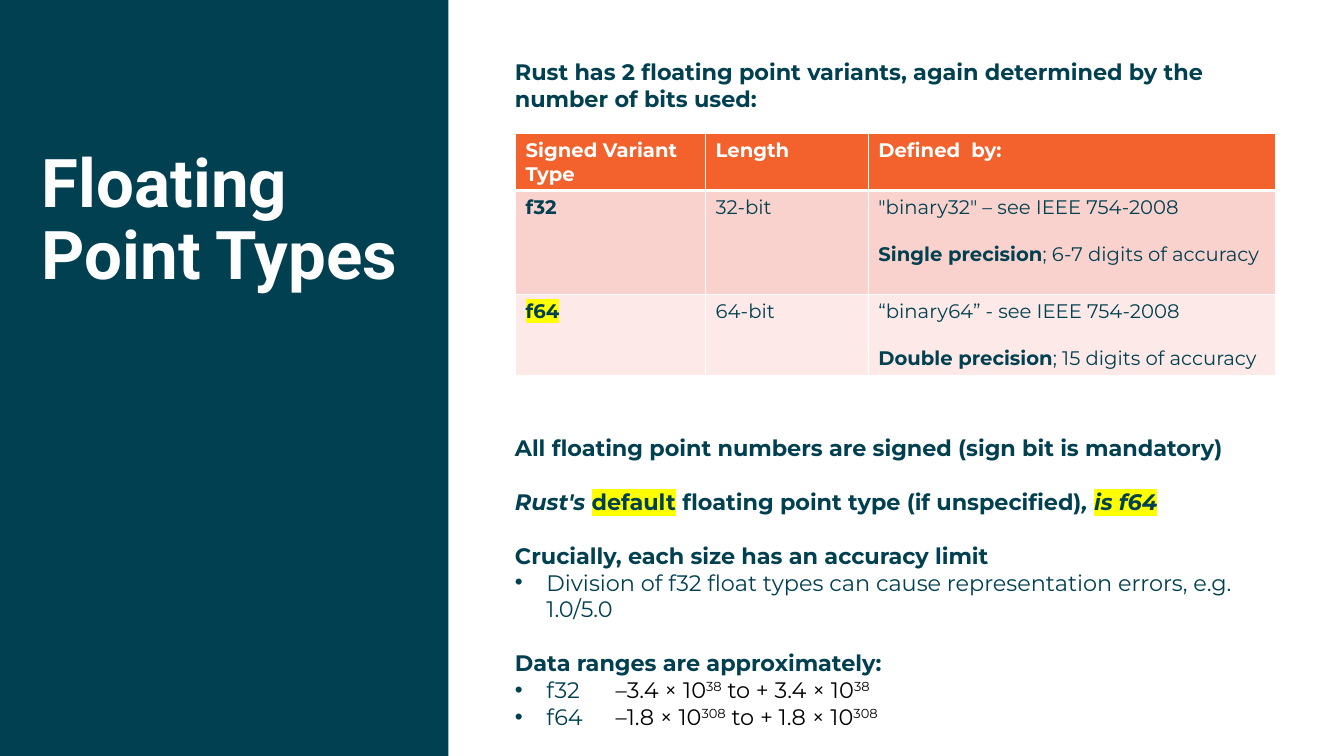
from dataclasses import dataclass

import lxml.etree
import pptx
import pptx.dml.color
import pptx.enum.shapes
import pptx.enum.text
import pptx.oxml.ns
import pptx.util

PX = 9525


@dataclass(frozen=True)
class Theme:
    heading_font: str = "Roboto"
    body_font: str = "Montserrat"
    teal: str = "004050"
    white: str = "FFFFFF"
    black: str = "000000"
    orange: str = "F3612C"
    row_fills: tuple = ("FAD2CD", "FDEAE8")
    highlight: str = "FFFF00"
    title_size: int = 48
    body_size: int = 16
    table_size: int = 14
    line_ratio: float = 1.2


@dataclass(frozen=True)
class Box:
    left: int
    top: int
    width: int
    height: int

    def emu(self):
        return [px(n) for n in (self.left, self.top, self.width, self.height)]


THEME = Theme()

HEADER = ["Signed Variant Type", "Length", "Defined  by:"]
VARIANTS = [
    ([("f32", "")], "32-bit", '"binary32" – see IEEE 754-2008',
     "Single precision", "; 6-7 digits of accuracy"),
    ([("f64", "h")], "64-bit", "“binary64” - see IEEE 754-2008",
     "Double precision", "; 15 digits of accuracy"),
]
RANGES = [("f32", "–3.4 × 10", "+ 3.4 × 10", "38"),
          ("f64", "–1.8 × 10", "+ 1.8 × 10", "308")]


def px(length):
    return pptx.util.Emu(length * PX)


def rgb(colour):
    return pptx.dml.color.RGBColor.from_string(colour)


def add_xml(parent, tag, **attributes):
    return lxml.etree.SubElement(parent, pptx.oxml.ns.qn(tag), **attributes)


def style(font, size, colour, bold, name=THEME.body_font):
    font.name = name
    font.size = pptx.util.Pt(size)
    font.bold = bold
    font.color.rgb = rgb(colour)


def add_runs(paragraph, runs):
    for text, marks in runs:
        run = paragraph.add_run()
        run.text = text
        if "b" in marks:
            run.font.bold = True
        if "i" in marks:
            run.font.italic = True
        if "k" in marks:
            run.font.color.rgb = rgb(THEME.black)
        properties = run._r.get_or_add_rPr()
        if "s" in marks:
            properties.set("baseline", "30000")
        if "h" in marks:
            highlight = add_xml(properties, "a:highlight")
            add_xml(highlight, "a:srgbClr", val=THEME.highlight)


def make_bullet(paragraph):
    properties = paragraph._p.get_or_add_pPr()
    properties.set("marL", str(px(30)))
    properties.set("indent", str(px(-30)))
    add_xml(properties, "a:buFont", typeface="Arial")
    add_xml(properties, "a:buChar", char="•")
    tabs = add_xml(properties, "a:tabLst")
    add_xml(tabs, "a:tab", pos=str(px(96)), algn="l")


def write(frame, paragraphs, size, colour):
    for index, (runs, bold, bullet, gap) in enumerate(paragraphs):
        paragraph = frame.add_paragraph() if index else frame.paragraphs[0]
        if bullet:
            make_bullet(paragraph)
        if gap:
            paragraph.space_before = pptx.util.Pt(size * THEME.line_ratio)
        style(paragraph.font, size, colour, bold)
        add_runs(paragraph, runs)


def title_panel(slide, box):
    panel = slide.shapes.add_shape(
        pptx.enum.shapes.MSO_SHAPE.RECTANGLE, *box.emu())
    panel.shadow.inherit = False
    panel.fill.solid()
    panel.fill.fore_color.rgb = rgb(THEME.teal)
    panel.line.fill.background()

    title = slide.shapes.title
    title.element.addprevious(panel.element)
    title.left, title.top, title.width, title.height = Box(
        box.left + 40, box.top + 142, box.width - 65, 289).emu()
    frame = title.text_frame
    frame.margin_left = frame.margin_right = 0
    frame.margin_top = frame.margin_bottom = 0
    frame.word_wrap = True
    frame.auto_size = pptx.enum.text.MSO_AUTO_SIZE.NONE
    frame.vertical_anchor = pptx.enum.text.MSO_ANCHOR.TOP
    frame.text = "Floating Point Types"
    heading = frame.paragraphs[0]
    heading.alignment = pptx.enum.text.PP_ALIGN.LEFT
    heading.line_spacing = 0.9
    style(heading.font, THEME.title_size, THEME.white, True, THEME.heading_font)


def text_block(slide, box, paragraphs):
    frame = slide.shapes.add_textbox(*box.emu()).text_frame
    frame.word_wrap = True
    write(frame, paragraphs, THEME.body_size, THEME.teal)


def fill_cell(cell, paragraphs, fill, colour, top, bottom):
    properties = cell._tc.get_or_add_tcPr()
    for side, points in (("L", 1), ("R", 1), ("T", top), ("B", bottom)):
        border = add_xml(properties, "a:ln" + side,
                         w=str(pptx.util.Pt(points)))
        solid = add_xml(border, "a:solidFill")
        add_xml(solid, "a:srgbClr", val=THEME.white)
    cell.fill.solid()
    cell.fill.fore_color.rgb = rgb(fill)
    write(cell.text_frame, paragraphs, THEME.table_size, colour)


def variant_table(slide, box):
    widths = [181, 155, box.width - 336]
    heights = [53, 99, box.height - 152]
    table = slide.shapes.add_table(
        len(heights), len(widths), *box.emu()).table
    for column, width in zip(table.columns, widths):
        column.width = px(width)
    for row, height in zip(table.rows, heights):
        row.height = px(height)

    for column, label in enumerate(HEADER):
        fill_cell(table.cell(0, column), [([(label, "")], True, False, False)],
                  THEME.orange, THEME.white, 1, 3)
    for row, (variant, length, standard, precision, digits) in enumerate(VARIANTS, 1):
        contents = [
            [(variant, True, False, False)],
            [([(length, "")], False, False, False)],
            [([(standard, "")], False, False, False),
             ([(precision, "b"), (digits, "")], False, False, True)],
        ]
        for column, paragraphs in enumerate(contents):
            fill_cell(table.cell(row, column), paragraphs,
                      THEME.row_fills[row - 1], THEME.teal,
                      3 if row == 1 else 1, 1)


def content_column(slide, box):
    intro = "Rust has 2 floating point variants, again determined by the number of bits used:"
    text_block(slide, Box(box.left, box.top, box.width, 61),
               [([(intro, "")], True, False, False)])
    variant_table(slide, Box(box.left + 10, box.top + 76, box.width - 34, 229))

    default_type = [("Rust's ", "i"), ("default", "h"),
                    (" floating point type (if unspecified)", ""),
                    (", ", "i"), ("is f64", "ih")]
    division = "Division of f32 float types can cause representation errors, e.g. 1.0/5.0"
    notes = [
        ([("All floating point numbers are signed (sign bit is mandatory)", "")],
         True, False, False),
        (default_type, True, False, True),
        ([("Crucially, each size has an accuracy limit", "")], True, False, True),
        ([(division, "")], False, True, False),
        ([("Data ranges are approximately:", "")], True, False, True),
    ]
    for variant, low, high, exponent in RANGES:
        notes.append(([(variant + "\t", ""), (low, "k"), (exponent, "ks"),
                       (" to " + high, "k"), (exponent, "ks")],
                      False, True, False))
    text_block(slide, Box(box.left, box.top + 358, box.width, box.height - 358),
               notes)


def main():
    deck = pptx.Presentation()
    deck.slide_width, deck.slide_height = px(1280), px(720)
    slide = deck.slides.add_slide(deck.slide_layouts.get_by_name("Title Only"))
    title_panel(slide, Box(0, 0, 427, 720))
    content_column(slide, Box(481, 51, 758, 660))
    deck.save("out.pptx")


if __name__ == "__main__":
    main()
